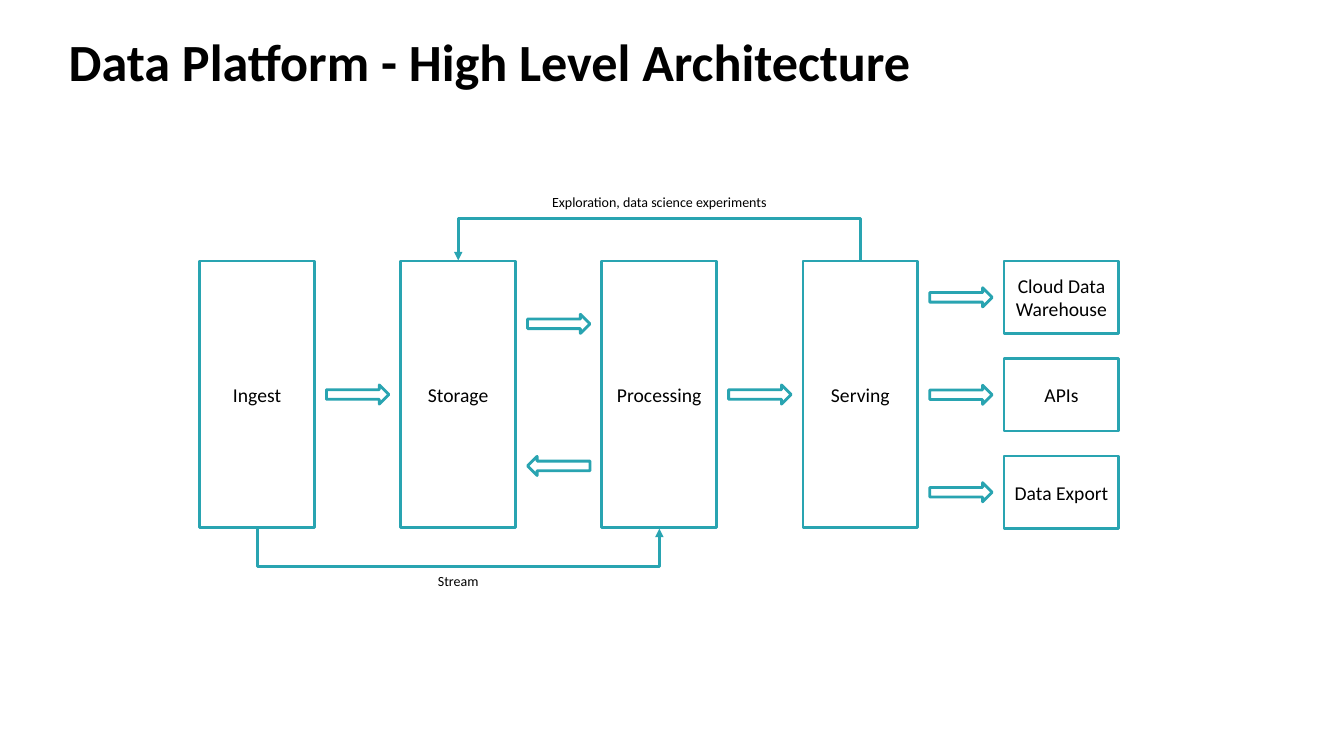
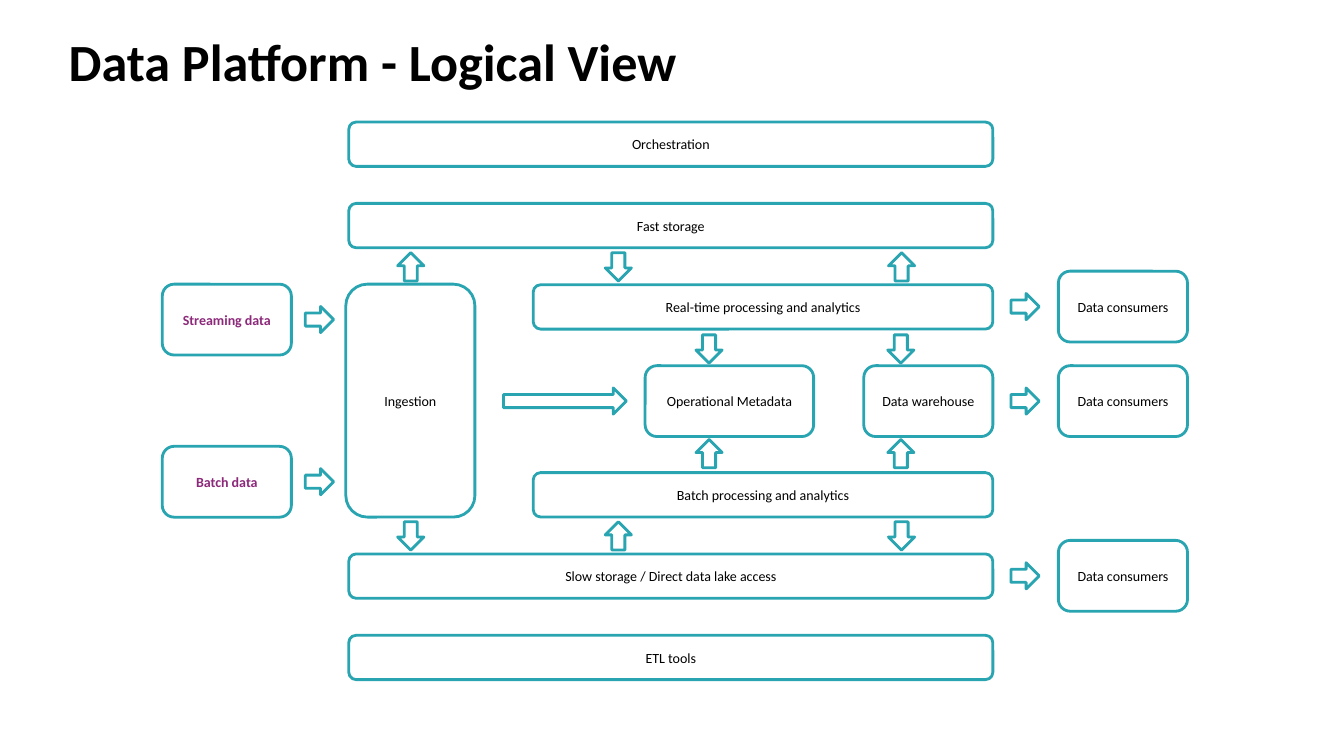
from lxml.etree import SubElement
from pptx import Presentation
from pptx.dml.color import RGBColor
from pptx.enum.shapes import MSO_CONNECTOR as Connector, MSO_SHAPE as Shape
from pptx.enum.text import MSO_ANCHOR as Anchor, MSO_AUTO_SIZE as AutoSize, PP_ALIGN as Align
from pptx.oxml.ns import qn
from pptx.util import Pt

COLORS = {"teal": "29A4B1", "white": "FFFFFF", "black": "000000", "purple": "8C297A"}
FONT = "Calibri"
LINE_WIDTH = 2
TITLE_ONLY = 5


def color(name):
    return RGBColor.from_string(COLORS[name])


def write(text_frame, text, size=10, color_name="black", bold=False, align=Align.CENTER,
          anchor=Anchor.MIDDLE, wrap=True):
    text_frame.auto_size = AutoSize.NONE
    text_frame.word_wrap = wrap
    text_frame.vertical_anchor = anchor
    text_frame.text = text
    paragraph = text_frame.paragraphs[0]
    paragraph.alignment = align
    font = paragraph.runs[0].font
    font.name, font.size, font.bold = FONT, Pt(size), bold
    font.color.rgb = color(color_name)


def add_titled_slide(presentation, text):
    slide = presentation.slides.add_slide(presentation.slide_layouts[TITLE_ONLY])
    title = slide.shapes.title
    title.left, title.top, title.width, title.height = Pt(41.8), Pt(21.6), Pt(877), Pt(43.9)
    write(title.text_frame, text, size=37.3, bold=True, align=Align.LEFT)
    return slide


def add_outline(slide, kind, left, top, width, height):
    shape = slide.shapes.add_shape(kind, Pt(left), Pt(top), Pt(width), Pt(height))
    shape.shadow.inherit = False
    shape.fill.solid()
    shape.fill.fore_color.rgb = color("white")
    shape.line.color.rgb = color("teal")
    shape.line.width = Pt(LINE_WIDTH)
    return shape


def add_box(slide, text, left, top, width, height, kind=Shape.ROUNDED_RECTANGLE, **text_format):
    shape = add_outline(slide, kind, left, top, width, height)
    write(shape.text_frame, text, **text_format)
    return shape


def add_arrow(slide, kind, center_x, center_y, width, height):
    add_outline(slide, kind, center_x - width / 2, center_y - height / 2, width, height)


def add_label(slide, text, center_x, top, width=180, height=19.4):
    label = slide.shapes.add_textbox(Pt(center_x - width / 2), Pt(top), Pt(width), Pt(height))
    write(label.text_frame, text, anchor=Anchor.TOP)


def add_loop(slide, source, target, depth, below):
    """Join two boxes by an elbow that runs below or above them."""
    connector = slide.shapes.add_connector(Connector.ELBOW, 0, 0, 0, 0)
    site = 2 if below else 0
    connector.begin_connect(source, site)
    connector.end_connect(target, site)

    # A one-point-wide elbow, turned a quarter, bends at a multiple of its width.
    thickness = Pt(1)
    center_x = (source.left + source.width / 2 + target.left + target.width / 2) / 2
    edge = source.top + source.height if below else source.top
    span = abs(target.left - source.left)
    connector.left, connector.top = int(center_x - thickness / 2), int(edge - span / 2)
    connector.width, connector.height = thickness, span
    properties = connector._element.spPr
    transform = properties.find(qn("a:xfrm"))
    for flip in ("flipH", "flipV"):
        transform.attrib.pop(flip, None)
    transform.set("rot", str(270 * 60000))
    transform.set("flipH" if below else "flipV", "1")
    adjustments = properties.find(qn("a:prstGeom")).get_or_add_avLst()
    SubElement(adjustments, qn("a:gd"), name="adj1", fmla=f"val {depth * 100000}")

    connector.line.color.rgb = color("teal")
    connector.line.width = Pt(LINE_WIDTH)
    SubElement(connector.line._get_or_add_ln(), qn("a:tailEnd"), type="triangle")
    SubElement(properties, qn("a:effectLst"))


def build_architecture(presentation):
    slide = add_titled_slide(presentation, "Data Platform - High Level Architecture")
    left, top, width, height, step = 142.6, 186.5, 82.1, 190.6, 143.65
    output_height, output_step = 51.8, 69.6
    middle = top + height / 2
    style = {"kind": Shape.RECTANGLE, "size": 14}

    stages = [add_box(slide, name, left + index * step, top, width, height, **style)
              for index, name in enumerate(("Ingest", "Storage", "Processing", "Serving"))]

    flows = [(0, middle, Shape.RIGHT_ARROW), (1, middle - 50.5, Shape.RIGHT_ARROW),
             (1, middle + 51, Shape.LEFT_ARROW), (2, middle, Shape.RIGHT_ARROW)]
    for index, name in enumerate(("Cloud Data Warehouse", "APIs", "Data Export")):
        output_top = top + index * output_step
        add_box(slide, name, left + 4 * step, output_top, width, output_height, **style)
        flows.append((3, output_top + output_height / 2, Shape.RIGHT_ARROW))
    for gap, center_y, kind in flows:
        add_arrow(slide, kind, left + gap * step + (width + step) / 2, center_y, 44.6, 13.7)

    ingest, storage, processing, serving = stages
    add_loop(slide, ingest, processing, depth=28, below=True)
    add_loop(slide, serving, storage, depth=31, below=False)
    add_label(slide, "Stream", left + step + width / 2, 405.4)
    add_label(slide, "Exploration, data science experiments", left + 2 * step + width / 2, 134.6)


def build_logical_view(presentation):
    slide = add_titled_slide(presentation, "Data Platform - Logical View")
    box_width, box_height, bar_height, bar_step = 92.2, 50.6, 31.7, 58.1
    upper_top, lower_top, middle_top = 87.2, 337.6, 261.2
    right = 709.2
    arrow_width, arrow_height = 20.2, 18.7

    source_tops = (203, 318.8)
    for text, top in zip(("Streaming data", "Batch data"), source_tops):
        add_box(slide, text, 115.9, top, box_width, box_height, color_name="purple", bold=True)
    add_box(slide, "Ingestion", 247, source_tops[0], box_width,
            source_tops[1] + box_height - source_tops[0])

    consumer_tops = (193.7, middle_top, 386)
    for top in consumer_tops:
        add_box(slide, "Data consumers", 756, top, box_width, box_height)
    add_box(slide, "Operational Metadata", 460.8, middle_top, 120.4, box_height)
    add_box(slide, "Data warehouse", right - box_width, middle_top, box_width, box_height)

    bars = (
        (upper_top, (("Orchestration", 249.1), ("Fast storage", 249.1),
                     ("Real-time processing and analytics", 380.9))),
        (lower_top, (("Batch processing and analytics", 380.9),
                     ("Slow storage / Direct data lake access", 249.1), ("ETL tools", 249.1))),
    )
    for first_top, group in bars:
        for index, (text, left) in enumerate(group):
            add_box(slide, text, left, first_top + index * bar_step, right - left, bar_height)

    up, down = Shape.UP_ARROW, Shape.DOWN_ARROW
    outer_columns, inner_columns = (293.4, 441.7, 644), (506.5, 643.5)
    arrow_rows = (
        (190.6, outer_columns, (up, down, up)),
        (249.3, inner_columns, (down, down)),
        (324, inner_columns, (up, up)),
        (382.8, outer_columns, (down, up, down)),
    )
    for center_y, columns, kinds in arrow_rows:
        for center_x, kind in zip(columns, kinds):
            add_arrow(slide, kind, center_x, center_y, arrow_height, arrow_width)

    for center_x, tops in ((228.2, source_tops), (732.2, consumer_tops)):
        for top in tops:
            add_arrow(slide, Shape.RIGHT_ARROW, center_x, top + box_height / 2,
                      arrow_width, arrow_height)
    add_arrow(slide, Shape.RIGHT_ARROW, 403.5, middle_top + box_height / 2, 87.8, arrow_height)


def main():
    presentation = Presentation()
    presentation.slide_width, presentation.slide_height = Pt(960), Pt(540)
    build_architecture(presentation)
    build_logical_view(presentation)
    presentation.save("out.pptx")


if __name__ == "__main__":
    main()
